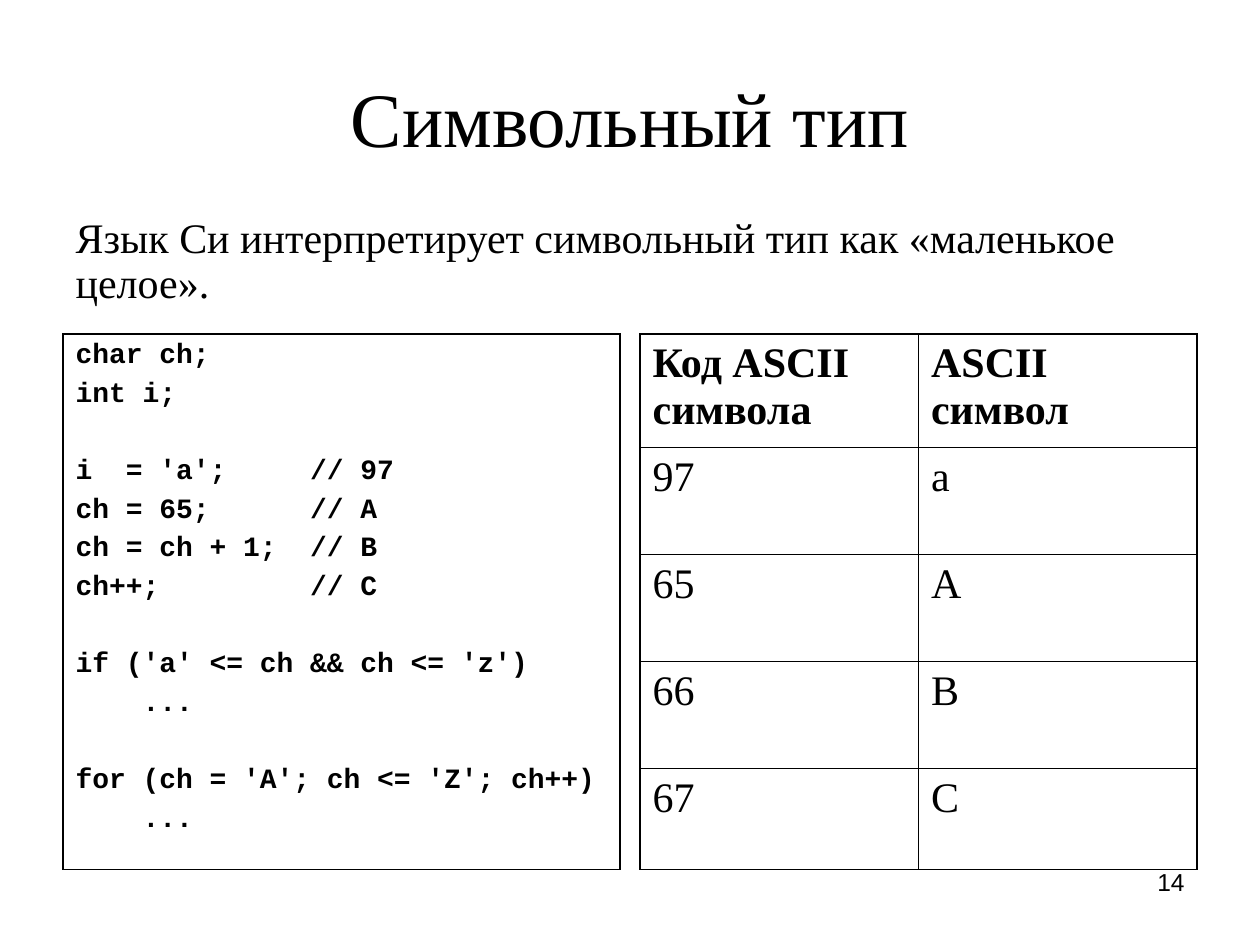
from dataclasses import dataclass
from lxml.etree import SubElement
from pptx import Presentation
from pptx.dml.color import RGBColor
from pptx.enum.text import MSO_ANCHOR, MSO_AUTO_SIZE, PP_ALIGN
from pptx.oxml.ns import qn
from pptx.util import Inches, Pt


@dataclass(frozen=True)
class Theme:
    ink: str = "000000"
    serif: str = "Times New Roman"
    mono: str = "Courier New"
    sans: str = "Arial"
    title: int = 44
    text: int = 24
    code: int = 16
    number: int = 14
    outer: float = 1.08
    inner: float = 0.45


theme = Theme()
LEFT, WIDTH = 0.5, 9
TABLE_TOP, TABLE_WIDTH, TABLE_HEIGHT = 2.65, 4.42, 4.25

CODE = """char ch;
int i;

i  = 'a';     // 97
ch = 65;      // A
ch = ch + 1;  // B
ch++;         // C

if ('a' <= ch && ch <= 'z')
    ...

for (ch = 'A'; ch <= 'Z'; ch++)
    ..."""

ASCII_ROWS = [
    ("Код ASCII символа", "ASCII cимвол"),
    ("97", "a"),
    ("65", "A"),
    ("66", "B"),
    ("67", "C"),
]


def add_run(p, text, font, size, bold=False):
    r = p.add_run()
    r.text = text
    r.font.name, r.font.size, r.font.bold = font, Pt(size), bold
    r.font.color.rgb = RGBColor.from_string(theme.ink)


def add_grid(left, col_widths, row_heights):
    """Add an unfilled table with thick outer and thin inner borders."""
    n_rows, n_cols = len(row_heights), len(col_widths)
    table = slide.shapes.add_table(
        n_rows, n_cols, Inches(left), Inches(TABLE_TOP),
        Inches(TABLE_WIDTH), Inches(TABLE_HEIGHT)).table
    table.first_row = table.horz_banding = False
    for col, width in zip(table.columns, col_widths):
        col.width = Inches(width)
    for i, height in enumerate(row_heights):
        table.rows[i].height = Inches(height)
        for j in range(n_cols):
            cell = table.cell(i, j)
            on_edge = {"lnL": j == 0, "lnR": j == n_cols - 1,
                       "lnT": i == 0, "lnB": i == n_rows - 1}
            tc_pr = cell._tc.get_or_add_tcPr()
            for side, outer in on_edge.items():
                width = Pt(theme.outer if outer else theme.inner)
                ln = SubElement(tc_pr, qn(f"a:{side}"), w=str(width))
                fill = SubElement(ln, qn("a:solidFill"))
                SubElement(fill, qn("a:srgbClr"), val=theme.ink)
            cell.fill.background()
    return table


prs = Presentation()
prs.slide_width, prs.slide_height = Inches(10), Inches(7.5)
slide = prs.slides.add_slide(prs.slide_layouts[1])

# Title and introduction
title, body = slide.shapes.title, slide.placeholders[1]
for sp, top, height in ((title, 0.3, 1.25), (body, 1.67, 0.9)):
    sp.left, sp.top = Inches(LEFT), Inches(top)
    sp.width, sp.height = Inches(WIDTH), Inches(height)
    sp.text_frame.auto_size = MSO_AUTO_SIZE.NONE
    sp.text_frame.word_wrap = True

title.text_frame.vertical_anchor = MSO_ANCHOR.MIDDLE
p = title.text_frame.paragraphs[0]
p.alignment = PP_ALIGN.CENTER
add_run(p, "Символьный тип", theme.serif, theme.title)

p = body.text_frame.paragraphs[0]
p.line_spacing, p.space_before = 0.9, Pt(6)
p_pr = p._p.get_or_add_pPr()
p_pr.set("marL", "0")
p_pr.set("indent", "0")
SubElement(p_pr, qn("a:buNone"))
add_run(p, "Язык Си интерпретирует символьный тип как «маленькое целое».",
        theme.serif, theme.text)

# Code listing: groups of lines are set apart by paragraph spacing
tf = add_grid(LEFT, [TABLE_WIDTH], [TABLE_HEIGHT]).cell(0, 0).text_frame
p = tf.paragraphs[0]
for g, group in enumerate(CODE.split("\n\n")):
    for n, line in enumerate(group.split("\n")):
        if g or n:
            p = tf.add_paragraph()
        p.space_before = Pt(26 if g and n == 0 else 4)
        add_run(p, line, theme.mono, theme.code, bold=True)

# ASCII table
table = add_grid(LEFT + WIDTH - TABLE_WIDTH, [TABLE_WIDTH / 2] * 2,
                 [0.9, 0.85, 0.85, 0.85, 0.8])
for i, row in enumerate(ASCII_ROWS):
    for j, text in enumerate(row):
        p = table.cell(i, j).text_frame.paragraphs[0]
        p.space_before = Pt(6)
        add_run(p, text, theme.serif, theme.text, bold=i == 0)

# Page number
tf = slide.shapes.add_textbox(Inches(7.17), Inches(6.83),
                              Inches(2.33), Inches(0.52)).text_frame
tf.word_wrap = True
p = tf.paragraphs[0]
p.alignment = PP_ALIGN.RIGHT
add_run(p, "14", theme.sans, theme.number)

prs.save("out.pptx")
